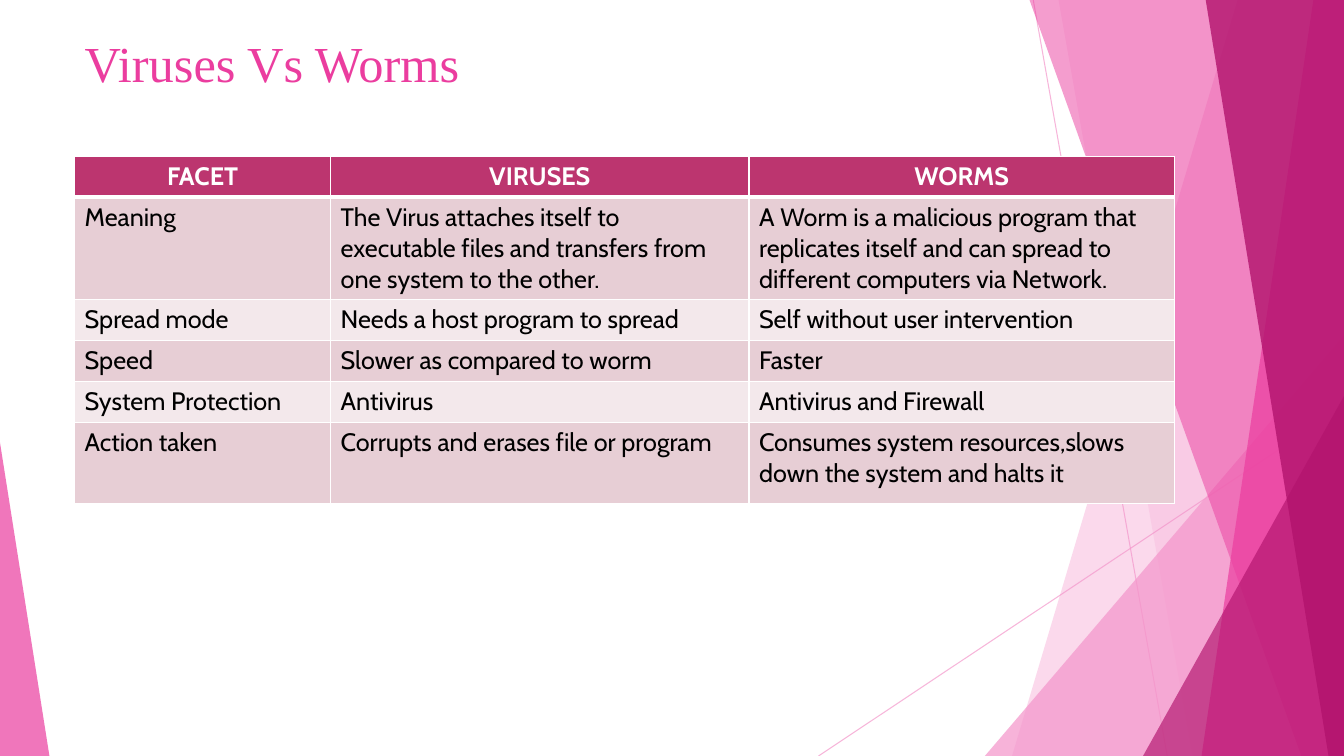
from lxml import etree
from pptx import Presentation
from pptx.dml.color import RGBColor
from pptx.enum.shapes import MSO_CONNECTOR, MSO_SHAPE
from pptx.enum.text import MSO_ANCHOR, PP_ALIGN
from pptx.oxml.ns import qn
from pptx.util import Inches, Pt

STRAIGHT = MSO_CONNECTOR.STRAIGHT
TRIANGLE = MSO_SHAPE.ISOSCELES_TRIANGLE
LEFT, CENTER = PP_ALIGN.LEFT, PP_ALIGN.CENTER
TOP = MSO_ANCHOR.TOP
TITLE_ONLY = 5

COLORS = {
    "light": "F496CB", "pink": "EB3D9F", "dark": "B2136D", "header": "BC356F",
    "band": "E7CED5", "pale": "F3E8EB", "white": "FFFFFF", "black": "000000",
}
TITLE_FONT = {"name": "Times New Roman", "size": Pt(36), "bold": False}
HEADER_FONT = {"name": "Cabin", "size": Pt(18), "bold": True}
BODY_FONT = {**HEADER_FONT, "bold": False}

RAYS = [((76.88, 0), (86.85, 100)), ((100, 53.73), (60.9, 100))]
BACK_PANELS = [(92.1, 75.3, "light", 36), (78.75, 88.73, "light", 20)]
BACK_TRIANGLE = ((73.28, 44.4, 26.72, 55.6), 1, "light", 72)
FRONT_PANELS = [
    (76.58, 96.83, "pink", 50),
    (97.73, 89.4, "pink", 70),
    (89.7, 98.85, "dark", 80),
]
FRONT_TRIANGLES = [
    ((85.05, 52.4, 14.95, 47.6), 1, "dark", 66),
    ((0, 58.53, 3.68, 41.47), 0, "pink", 70),
]

COLUMN_WIDTHS = [19.05, 31.13, 31.65]
ROW_HEIGHTS = [5.4] * 5 + [10.8]
COMPARISON = [
    ("FACET", "VIRUSES", "WORMS"),
    ("Meaning",
     "The Virus attaches itself to executable files and transfers from one system to the other.",
     "A Worm is a malicious program that replicates itself and can spread to different computers via Network."),
    ("Spread mode", "Needs a host program to spread", "Self without user intervention"),
    ("Speed", "Slower as compared to worm", "Faster"),
    ("System Protection", "Antivirus", "Antivirus and Firewall"),
    ("Action taken", "Corrupts and erases file or program",
     "Consumes system resources,slows down the system and halts it"),
]


class SlideBuilder:
    def __init__(self, presentation):
        self.width = presentation.slide_width
        self.height = presentation.slide_height
        self.slide = presentation.slides.add_slide(presentation.slide_layouts[TITLE_ONLY])
        self.shapes = self.slide.shapes

    def x(self, percent):
        return round(self.width * percent / 100)

    def y(self, percent):
        return round(self.height * percent / 100)

    def box(self, left, top, width, height):
        return self.x(left), self.y(top), self.x(width), self.y(height)

    def paint(self, fill, color, opacity=100):
        fill.solid()
        fill.fore_color.rgb = RGBColor.from_string(COLORS[color])
        if opacity < 100:
            for node in fill._xPr.iter(qn("a:srgbClr")):
                etree.SubElement(node, qn("a:alpha"), val=str(opacity * 1000))

    def finish(self, shape, color, opacity):
        shape.shadow.inherit = False
        shape.line.fill.background()
        self.paint(shape.fill, color, opacity)

    def ray(self, start, end):
        connector = self.shapes.add_connector(
            STRAIGHT, self.x(start[0]), self.y(start[1]), self.x(end[0]), self.y(end[1]))
        connector.line.width = Pt(0.75)
        self.paint(connector.line.fill, "light", 70)
        etree.SubElement(connector._element.spPr, qn("a:effectLst"))

    def panel(self, top_x, bottom_x, color, opacity):
        top, bottom = self.y(-0.11), self.height
        builder = self.shapes.build_freeform(self.x(top_x), top, scale=1)
        builder.add_line_segments(
            [(self.width, top), (self.width, bottom), (self.x(bottom_x), bottom)])
        self.finish(builder.convert_to_shape(), color, opacity)

    def triangle(self, box, apex, color, opacity):
        shape = self.shapes.add_shape(TRIANGLE, *self.box(*box))
        shape.adjustments[0] = apex
        self.finish(shape, color, opacity)

    def put_text(self, frame, text, style, color, alignment):
        frame.text = text
        paragraph = frame.paragraphs[0]
        paragraph.alignment = alignment
        font = paragraph.runs[0].font
        for name, value in style.items():
            setattr(font, name, value)
        font.color.rgb = RGBColor.from_string(COLORS[color])

    def title(self, text, box):
        title = self.shapes.title
        title.left, title.top, title.width, title.height = self.box(*box)
        title.text_frame.vertical_anchor = TOP
        self.put_text(title.text_frame, text, TITLE_FONT, "pink", LEFT)
        self.shapes._spTree.append(title._element)

    def border(self, cell, bottom_width):
        properties = cell._tc.get_or_add_tcPr()
        widths = {"lnL": 1, "lnR": 1, "lnT": 1, "lnB": bottom_width}
        for position, (side, width) in enumerate(widths.items()):
            line = etree.Element(qn(f"a:{side}"), w=str(Pt(width)))
            fill = etree.SubElement(line, qn("a:solidFill"))
            etree.SubElement(fill, qn("a:srgbClr"), val=COLORS["white"])
            properties.insert(position, line)

    def table(self, rows, left, top):
        frame = self.shapes.add_table(
            len(rows), len(COLUMN_WIDTHS),
            *self.box(left, top, sum(COLUMN_WIDTHS), sum(ROW_HEIGHTS)))
        table = frame.table
        for column, width in zip(table.columns, COLUMN_WIDTHS):
            column.width = self.x(width)
        for index, (row, height, texts) in enumerate(zip(table.rows, ROW_HEIGHTS, rows)):
            row.height = self.y(height)
            for cell, text in zip(row.cells, texts):
                if index == 0:
                    self.put_text(cell.text_frame, text, HEADER_FONT, "white", CENTER)
                    self.paint(cell.fill, "header")
                else:
                    self.put_text(cell.text_frame, text, BODY_FONT, "black", LEFT)
                    self.paint(cell.fill, "band" if index % 2 else "pale")
                self.border(cell, 1 if index else 3)


def main():
    presentation = Presentation()
    presentation.slide_width = Inches(13.33)
    presentation.slide_height = Inches(7.5)
    builder = SlideBuilder(presentation)
    for start, end in RAYS:
        builder.ray(start, end)
    for panel in BACK_PANELS:
        builder.panel(*panel)
    builder.triangle(*BACK_TRIANGLE)
    for panel in FRONT_PANELS:
        builder.panel(*panel)
    for triangle in FRONT_TRIANGLES:
        builder.triangle(*triangle)
    builder.title("Viruses Vs Worms", (5.55, 3.6, 70.5, 16))
    builder.table(COMPARISON, 5.55, 20.67)
    presentation.save("out.pptx")


if __name__ == "__main__":
    main()
